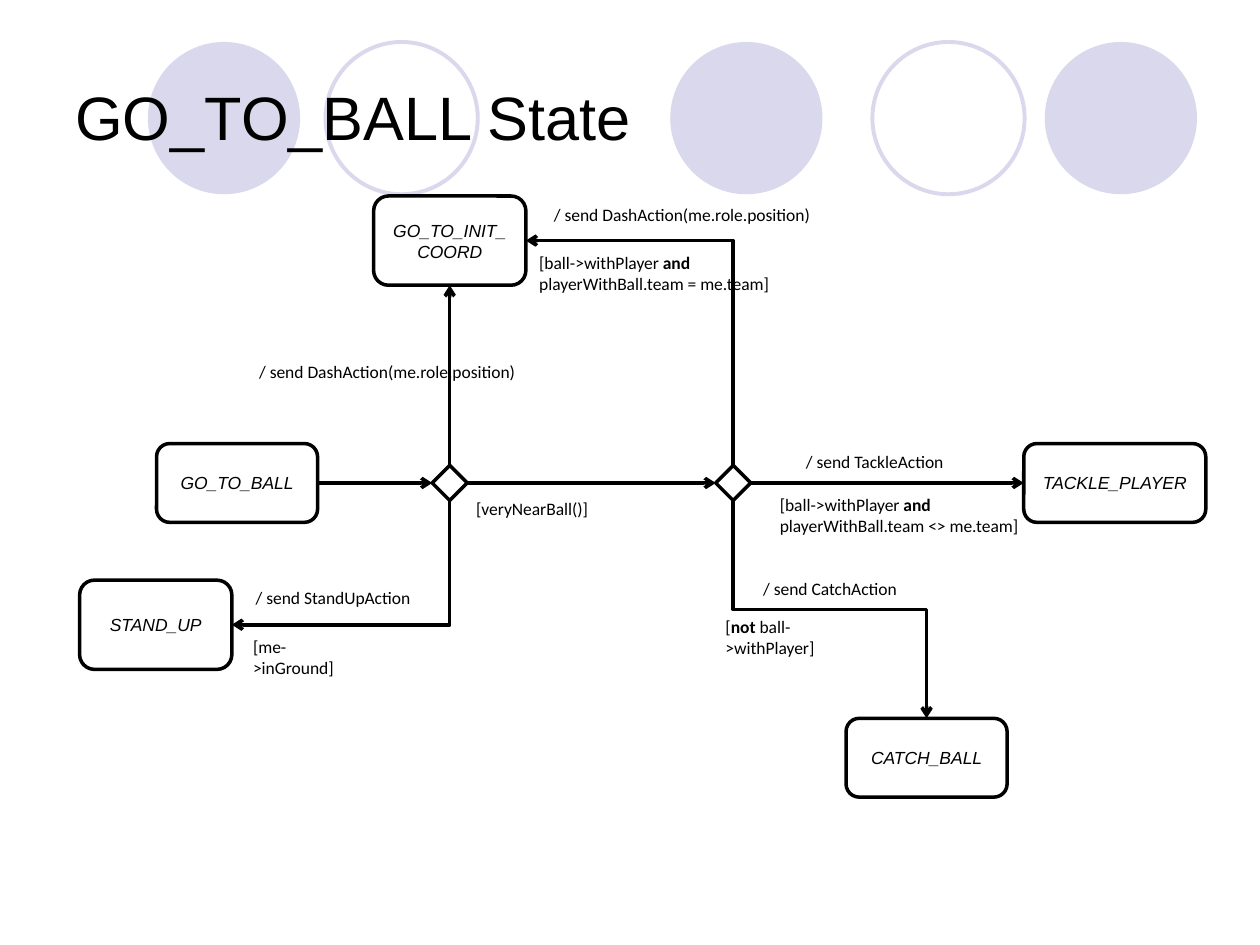
from lxml import etree
from pptx import Presentation
from pptx.dml.color import RGBColor
from pptx.enum import shapes, text
from pptx.oxml import ns
from pptx.util import Pt

BLACK, WHITE, LILAC = "000000", "FFFFFF", "D9D8EC"


def color(value):
    return RGBColor.from_string(value)


def style_font(font, name, size):
    font.name, font.size, font.color.rgb = name, Pt(size), color(BLACK)


def add_shape(s, kind, box, fill=None, line=None, weight=2):
    sp = s.shapes.add_shape(kind, *map(Pt, box))
    sp.shadow.inherit = False
    if fill:
        sp.fill.solid()
        sp.fill.fore_color.rgb = color(fill)
    else:
        sp.fill.background()
    if line:
        sp.line.color.rgb = color(line)
        sp.line.width = Pt(weight)
    else:
        sp.line.fill.background()
    return sp


def add_header(s, box, title):
    """Row of circles with the title in front of it."""
    left, top, width, height = box
    diameter = 87
    # Offsets from the left of the box, and whether the circle is filled
    for dx, filled in [(48.5, True), (150, False), (347, True), (462.5, False), (561, True)]:
        add_shape(s, shapes.MSO_SHAPE.OVAL, (left + dx, top + 2.5, diameter, diameter),
                  LILAC if filled else None, None if filled else LILAC, 2.25)

    tf = s.shapes.add_textbox(*map(Pt, box)).text_frame
    tf.word_wrap = True
    tf.vertical_anchor = text.MSO_ANCHOR.MIDDLE
    tf.text = title
    style_font(tf.paragraphs[0].runs[0].font, "Arial", 35)


def add_node(s, kind, center, size, name=""):
    """State or decision, placed by its centre."""
    (x, y), (w, h) = center, size
    sp = add_shape(s, kind, (x - w / 2, y - h / 2, w, h), WHITE, BLACK)
    if name:
        tf = sp.text_frame
        tf.word_wrap = True
        tf.vertical_anchor = text.MSO_ANCHOR.MIDDLE
        tf.text = name
        p = tf.paragraphs[0]
        p.alignment = text.PP_ALIGN.CENTER
        style_font(p.runs[0].font, "Arial", 10)
        p.runs[0].font.italic = True
    return sp


def turn_elbow(c, preset):
    """Make an elbow connector leave its start vertically."""
    down, rightward = c.begin_y < c.end_y, c.begin_x < c.end_x
    w, h = c.width, c.height
    c.left, c.top = c.left + (w - h) // 2, c.top + (h - w) // 2
    c.width, c.height = h, w
    xfrm = c.element.spPr.find(ns.qn("a:xfrm"))
    for flip in ("flipH", "flipV"):
        xfrm.attrib.pop(flip, None)
    xfrm.set("rot", str((90 if down != rightward else 270) * 60000))
    if rightward:
        xfrm.set("flipH", "1")
    elif not down:
        xfrm.set("flipV", "1")
    c.element.spPr.find(ns.qn("a:prstGeom")).set("prst", preset)


def add_transition(s, start, start_site, end, end_site, elbow=None):
    kind = shapes.MSO_CONNECTOR.ELBOW if elbow else shapes.MSO_CONNECTOR.STRAIGHT
    c = s.shapes.add_connector(kind, 0, 0, 0, 0)
    c.begin_connect(start, start_site)
    c.end_connect(end, end_site)
    if elbow:
        turn_elbow(c, elbow)
    c.line.color.rgb = color(BLACK)
    c.line.width = Pt(2)
    etree.SubElement(c.line._get_or_add_ln(), ns.qn("a:tailEnd"), type="arrow")
    etree.SubElement(c.element.spPr, ns.qn("a:effectLst"))


def add_label(s, box, lines):
    """Transition label; parts between ** marks are bold."""
    tf = s.shapes.add_textbox(*map(Pt, box)).text_frame
    tf.word_wrap = False
    tf.auto_size = text.MSO_AUTO_SIZE.SHAPE_TO_FIT_TEXT
    for i, line in enumerate(lines):
        p = tf.add_paragraph() if i else tf.paragraphs[0]
        for j, part in enumerate(line.split("**")):
            if part:
                r = p.add_run()
                r.text = part
                style_font(r.font, "Calibri", 10)
                r.font.bold = j % 2 == 1


def add_diagram(s, box):
    """State machine: states, decisions, transitions and labels."""
    left, top = box[:2]
    row = 186  # main row of the flow
    near_x, ball_x = 212, 374  # columns of the two decisions

    def node(kind, x, y, w, h, name=""):
        return add_node(s, kind, (left + x, top + y), (w, h), name)

    # States
    state = shapes.MSO_SHAPE.ROUNDED_RECTANGLE
    go_to_ball = node(state, 90.5, row, 92, 45, "GO_TO_BALL")
    go_to_init = node(state, near_x, 47.5, 87, 51, "GO_TO_INIT_COORD")
    stand_up = node(state, 44, 267, 87, 51, "STAND_UP")
    catch_ball = node(state, 484.5, 343, 92, 45, "CATCH_BALL")
    tackle = node(state, 592, row, 104, 45, "TACKLE_PLAYER")

    # Decisions
    near, has_ball = [node(shapes.MSO_SHAPE.DIAMOND, x, row, 20, 20) for x in (near_x, ball_x)]

    # Transitions
    for link in [
        (go_to_ball, 3, near, 1),
        (near, 0, go_to_init, 2),
        (near, 3, has_ball, 1),
        (has_ball, 3, tackle, 1),
        (near, 2, stand_up, 3, "bentConnector2"),
        (has_ball, 0, go_to_init, 3, "bentConnector2"),
        (has_ball, 2, catch_ball, 0, "bentConnector3"),
    ]:
        add_transition(s, *link)

    # Labels: left, top, width, lines
    dash = "/ send DashAction(me.role.position)"
    for x, y, w, *lines in [
        (92.5, 270, 79, "[me->inGround]"),
        (94, 242, 103, "/ send StandUpAction"),
        (220, 191, 78.5, "[veryNearBall()]"),
        (256, 50.5, 146, "[ball->withPlayer **and**", "playerWithBall.team = me.team]"),
        (393.5, 188.5, 151, "[ball->withPlayer **and**", "playerWithBall.team <> me.team]"),
        (362.5, 258.5, 102, "[**not **ball->withPlayer]"),
        (264.5, 23, 160.5, dash),
        (408.5, 164, 93.5, "/ send TackleAction"),
        (384, 237, 93, "/ send CatchAction"),
        (96, 112.5, 160.5, dash),
    ]:
        add_label(s, (left + x, top + y, w, 7.2 + 12.2 * len(lines)), lines)


def main():
    prs = Presentation()
    prs.slide_width, prs.slide_height = Pt(720), Pt(540)
    s = prs.slides.add_slide(prs.slide_layouts[6])
    add_header(s, (36, 21.5, 648, 90), "GO_TO_BALL State")
    add_diagram(s, (45, 90, 644, 366))
    prs.save("out.pptx")


if __name__ == "__main__":
    main()
